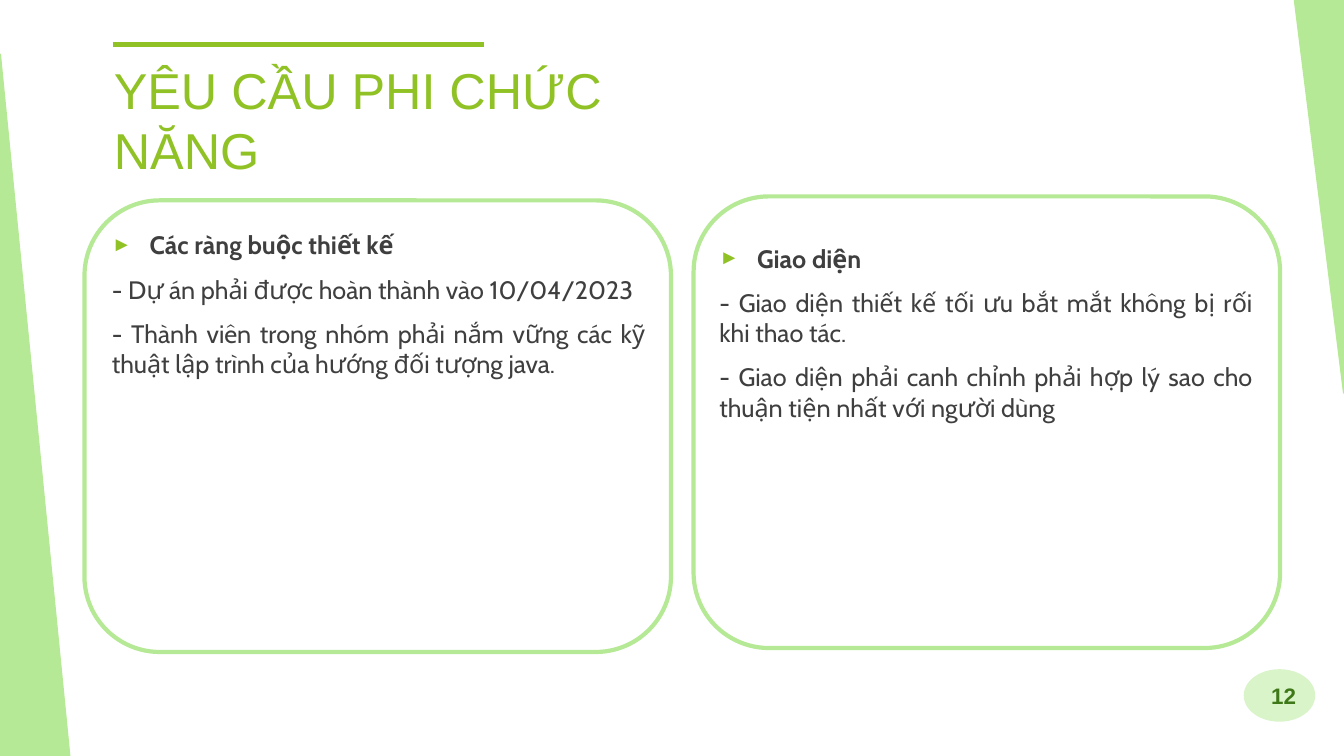
from lxml.etree import SubElement
from pptx import Presentation
from pptx.dml.color import RGBColor
from pptx.enum.shapes import MSO_CONNECTOR, MSO_SHAPE
from pptx.enum.text import MSO_ANCHOR, PP_ALIGN
from pptx.oxml.ns import qn
from pptx.util import Cm, Pt

WHITE = RGBColor(0xFF, 0xFF, 0xFF)
LIME = RGBColor(0x90, 0xC2, 0x26)
MINT = RGBColor(0xB6, 0xE9, 0x95)
PALE = RGBColor(0xD9, 0xF4, 0xC9)
MOSS = RGBColor(0x3F, 0x78, 0x18)
GREY = RGBColor(0x3F, 0x3F, 0x3F)

TITLE = {"name": "Arial", "size": Pt(36), "bold": False}
HEAD = {"name": "Cabin", "size": Pt(18), "bold": True}
BODY = {**HEAD, "bold": False}
PAGE = {"name": "Arial", "size": Pt(16), "bold": True}

# Each card: frame place, text place, heading, lines with alignment
CARDS = [
    ((2.13, 5.05), (2.57, 5.54), "Các ràng buộc thiết kế", [
        ("- Dự án phải được hoàn thành vào 10/04/2023", PP_ALIGN.LEFT),
        ("- Thành viên trong nhóm phải nắm vững các kỹ thuật lập trình "
         "của hướng đối tượng java.", PP_ALIGN.JUSTIFY),
    ]),
    ((17.48, 4.95), (17.88, 5.87), "Giao diện", [
        ("- Giao diện thiết kế tối ưu bắt mắt không bị rối khi thao tác.",
         PP_ALIGN.JUSTIFY),
        ("- Giao diện phải canh chỉnh phải hợp lý sao cho thuận tiện "
         "nhất với người dùng", PP_ALIGN.JUSTIFY),
    ]),
]


def add_form(slide, kind, box, fill, edge, width=1.5):
    form = slide.shapes.add_shape(kind, *map(Cm, box))
    form.shadow.inherit = False
    form.fill.solid()
    form.fill.fore_color.rgb = fill
    form.line.color.rgb = edge
    form.line.width = Pt(width)
    return form


def add_box(slide, box, pad=0.25):
    frame = slide.shapes.add_textbox(*map(Cm, box)).text_frame
    rules = {"word_wrap": True, "margin_left": Cm(0.25),
             "margin_right": Cm(0.25), "margin_top": Cm(pad),
             "margin_bottom": Cm(pad)}
    for key, value in rules.items():
        setattr(frame, key, value)
    return frame


def write(para, text, style, color, align=PP_ALIGN.LEFT):
    para.alignment = align
    run = para.add_run()
    run.text = text
    for key, value in style.items():
        setattr(run.font, key, value)
    run.font.color.rgb = color


def add_mark(para):
    props = para._p.get_or_add_pPr()
    props.set("marL", str(Cm(0.95)))
    props.set("indent", str(-Cm(0.95)))
    tint = SubElement(props, qn("a:buClr"))
    SubElement(tint, qn("a:srgbClr"), val=str(LIME))
    SubElement(props, qn("a:buSzPct"), val="80000")
    SubElement(props, qn("a:buFont"), typeface="Arial")
    SubElement(props, qn("a:buChar"), char="►")


def add_rule(slide, left, right, top):
    rule = slide.shapes.add_connector(
        MSO_CONNECTOR.STRAIGHT, Cm(left), Cm(top), Cm(right), Cm(top))
    rule.line.color.rgb = LIME
    rule.line.width = Pt(3)
    SubElement(rule._element.spPr, qn("a:effectLst"))


def add_card(slide, place, inner, head, lines):
    add_form(slide, MSO_SHAPE.ROUNDED_RECTANGLE, (*place, 14.78, 11.38),
             WHITE, MINT, 3)
    frame = add_box(slide, (*inner, 13.94, 8.71))
    first = frame.paragraphs[0]
    first.space_before = Pt(10)
    write(first, head, HEAD, GREY)
    add_mark(first)
    for text, align in lines:
        para = frame.add_paragraph()
        para.space_before = Pt(10)
        write(para, text, BODY, GREY, align)


def main():
    deck = Presentation()
    deck.slide_width, deck.slide_height = Cm(33.87), Cm(19.05)
    slide = deck.slides.add_slide(deck.slide_layouts[6])

    # Side wedges
    wedge = MSO_SHAPE.RIGHT_TRIANGLE
    add_form(slide, wedge, (0, 1.37, 1.75, 17.68), MINT, MINT)
    right = add_form(slide, wedge, (32.63, 0, 1.24, 9.9), MINT, MINT)
    right.rotation = 180

    # Title under its rule
    add_rule(slide, 2.84, 12.19, 1.12)
    title = add_box(slide, (2.62, 1.24, 15.52, 2.62))
    write(title.paragraphs[0], "YÊU CẦU PHI CHỨC NĂNG", TITLE, LIME)

    # Cards
    for card in CARDS:
        add_card(slide, *card)

    # Page number
    add_form(slide, MSO_SHAPE.OVAL, (31.37, 16.89, 1.75, 1.27), PALE, PALE)
    page = add_box(slide, (30.78, 16.89, 2.13, 1.27), 0.13)
    page.vertical_anchor = MSO_ANCHOR.MIDDLE
    write(page.paragraphs[0], "12", PAGE, MOSS, PP_ALIGN.RIGHT)

    deck.save("out.pptx")


if __name__ == "__main__":
    main()
